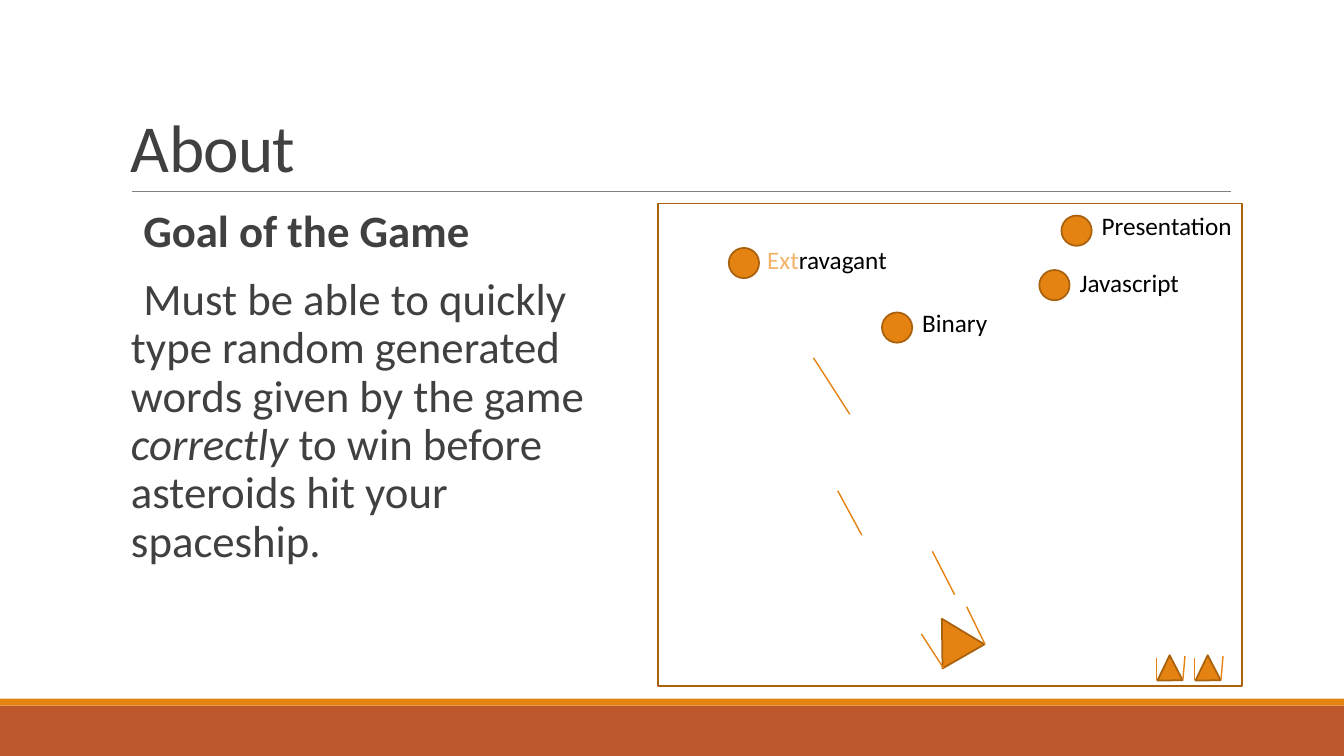
from lxml.etree import SubElement
from pptx import Presentation
from pptx.dml.color import RGBColor
from pptx.enum.shapes import MSO_CONNECTOR as Connector, MSO_SHAPE as Shape
from pptx.enum.text import MSO_ANCHOR as Anchor, MSO_AUTO_SIZE as AutoSize
from pptx.oxml.ns import qn
from pptx.util import Pt

ORANGE = RGBColor(0xE4, 0x83, 0x12)
PALE_ORANGE = RGBColor(0xF3, 0xB5, 0x6C)
BROWN = RGBColor(0xA9, 0x61, 0x0D)
RUST = RGBColor(0xBD, 0x58, 0x2C)
GRAY = RGBColor(0x80, 0x80, 0x80)
DARK = RGBColor(0x40, 0x40, 0x40)
BLACK = RGBColor(0, 0, 0)
FONT = "Calibri"
SLIDE_WIDTH, SLIDE_HEIGHT = 960, 540

ASTEROID_SIZE = 21.6
ASTEROIDS = [
    (50.4, 31.7, 20.2, -5.8, 106.6, [("Ext", PALE_ORANGE), ("ravagant", BLACK)]),
    (159.8, 77.8, 21.6, -7.2, 106.6, [("Binary", BLACK)]),
    (272.2, 47.5, 21.6, -5.8, 106.6, [("Javascript", BLACK)]),
    (288, 8.6, 21.6, -7.2, 116.6, [("Presentation", BLACK)]),
]
SHIP_WINGS = [(40.3, 20.1, 27.3, -6.5), (10.8, 37.4, -5.1, 12.9)]
LIFE_WINGS = [(18.4, 17.3, 19.8, 0.7), (-0.4, 18, -0.4, 2.2)]
SHOTS = [
    (211.7, 279.4, 195.8, 248.4),
    (128.2, 205.2, 145.4, 236.9),
    (110.9, 110.2, 136.8, 150.5),
]


def add_figure(shapes, kind, box, fill=None, line=None, rotation=0):
    figure = shapes.add_shape(kind, *map(Pt, box))
    figure.shadow.inherit = False
    figure.rotation = rotation
    if fill is None:
        figure.fill.background()
    else:
        figure.fill.solid()
        figure.fill.fore_color.rgb = fill
    if line is None:
        figure.line.fill.background()
    else:
        figure.line.color.rgb = line
        figure.line.width = Pt(1.25)


def add_line(shapes, left, top, ends, color=ORANGE, width=1):
    x1, y1, x2, y2 = ends
    line = shapes.add_connector(
        Connector.STRAIGHT, Pt(left + x1), Pt(top + y1), Pt(left + x2), Pt(top + y2))
    line.line.color.rgb = color
    line.line.width = Pt(width)
    SubElement(line._element.spPr, qn("a:effectLst"))


def add_text_frame(shapes, box):
    frame = shapes.add_textbox(*map(Pt, box)).text_frame
    frame.word_wrap = True
    return frame


def add_run(paragraph, text, size, color, bold=False, italic=False):
    run = paragraph.add_run()
    run.text = text
    font = run.font
    font.name, font.size, font.bold, font.italic = FONT, Pt(size), bold, italic
    font.color.rgb = color
    return run


def add_footer(shapes, top, height):
    stripe = 5
    add_figure(shapes, Shape.RECTANGLE, (0, top + stripe, SLIDE_WIDTH, height - stripe), RUST)
    add_figure(shapes, Shape.RECTANGLE, (0, top, SLIDE_WIDTH, stripe), ORANGE)


def add_title(shapes, left, top, width, height):
    add_line(shapes, left, top, (7.9, height, width + 1, height), GRAY, 0.5)
    frame = add_text_frame(shapes, (left, top, width, height))
    frame.vertical_anchor = Anchor.BOTTOM
    title = frame.paragraphs[0]
    title.line_spacing = 0.85
    run = add_run(title, "About", 48, DARK)
    run.font._element.set("spc", "-50")


def add_goal(shapes, left, top, width, height):
    frame = add_text_frame(shapes, (left, top, width, height))
    frame.margin_left = frame.margin_right = 0
    heading, rule = frame.paragraphs[0], frame.add_paragraph()
    for paragraph in (heading, rule):
        paragraph.line_spacing = 0.9
        paragraph.space_before, paragraph.space_after = Pt(12), Pt(2)
        props = paragraph._p.get_or_add_pPr()
        props.set("marL", str(Pt(7.2)))
        props.set("indent", str(-Pt(7.2)))
        bullet_color = SubElement(props, qn("a:buClr"))
        SubElement(bullet_color, qn("a:srgbClr"), val=str(ORANGE))
        SubElement(props, qn("a:buChar"), char=" ")
    add_run(heading, "Goal of the Game", 32, DARK, bold=True)
    add_run(rule, "Must be able to quickly type random generated words given by the game ", 32, DARK)
    add_run(rule, "correctly", 32, DARK, italic=True)
    add_run(rule, " to win before asteroids hit your spaceship.", 32, DARK)


def add_ship(shapes, left, top, width, height, rotation, wings):
    ship = shapes.add_group_shape().shapes
    add_figure(ship, Shape.ISOSCELES_TRIANGLE, (left, top, width, height), ORANGE, BROWN, rotation)
    for wing in wings:
        add_line(ship, left, top, wing)


def add_asteroid(shapes, left, top, label_dx, label_dy, label_width, word):
    add_figure(shapes, Shape.OVAL, (left, top, ASTEROID_SIZE, ASTEROID_SIZE), ORANGE, BROWN)
    label = add_text_frame(shapes, (left + label_dx, top + label_dy, label_width, 29))
    label.auto_size = AutoSize.SHAPE_TO_FIT_TEXT
    for letters, color in word:
        add_run(label.paragraphs[0], letters, 18, color)


def add_game_field(shapes, left, top, width, height):
    add_figure(shapes, Shape.RECTANGLE, (left, top, width, height), line=BROWN)
    for x, y, *label in ASTEROIDS:
        add_asteroid(shapes, left + x, top + y, *label)
    for shot in SHOTS:
        add_line(shapes, left, top, shot)
    add_ship(shapes, left + 193, top + 294.5, 34.6, 31, 330.1, SHIP_WINGS)
    for life in range(2):
        add_ship(shapes, left + 356.4 + life * 27.2, top + 322.6, 18, 18, 359.1, LIFE_WINGS)


def main():
    deck = Presentation()
    deck.slide_width, deck.slide_height = Pt(SLIDE_WIDTH), Pt(SLIDE_HEIGHT)
    shapes = deck.slides.add_slide(deck.slide_layouts[6]).shapes
    add_footer(shapes, 499, 41)
    add_title(shapes, 86.4, 22.3, 792, 114.5)
    add_goal(shapes, 86.4, 145.4, 362.2, 316.8)
    add_game_field(shapes, 470.2, 145.4, 416.9, 344.9)
    deck.save("out.pptx")


if __name__ == "__main__":
    main()
